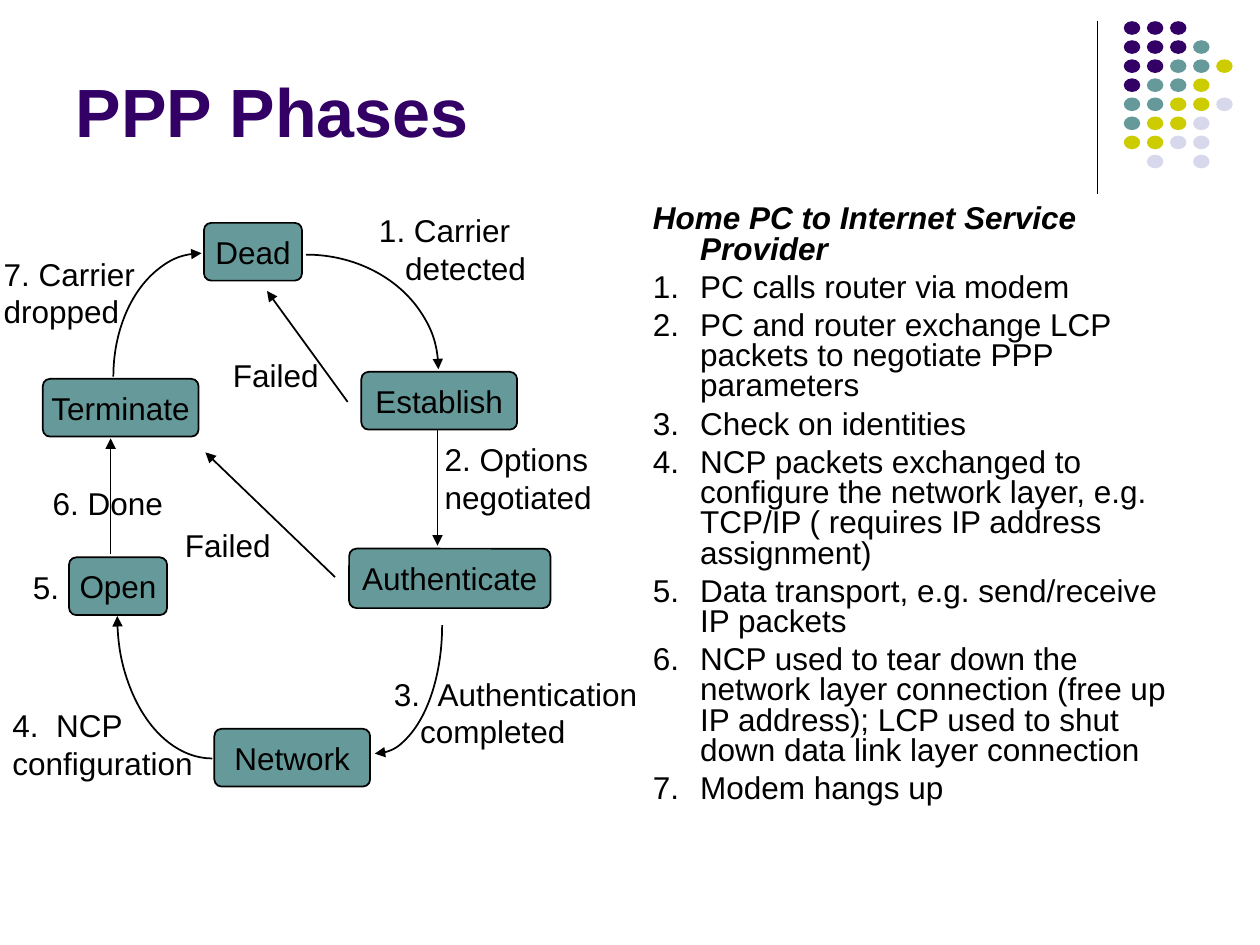
from lxml.etree import SubElement
from pptx import Presentation
from pptx.dml.color import RGBColor
from pptx.enum.shapes import MSO_CONNECTOR, MSO_SHAPE
from pptx.enum.text import MSO_ANCHOR, PP_ALIGN
from pptx.oxml.ns import qn
from pptx.util import Pt

BLACK = RGBColor(0x00, 0x00, 0x00)
PURPLE = RGBColor(0x33, 0x00, 0x66)
TEAL = RGBColor(0x66, 0x99, 0x99)
LIME = RGBColor(0xCC, 0xCC, 0x00)
LILAC = RGBColor(0xD8, 0xD8, 0xEC)

PLAIN = {"name": "Arial", "size": Pt(18), "bold": False, "italic": False}
STRONG = {**PLAIN, "bold": True, "italic": True}
HEAD = {**PLAIN, "size": Pt(39), "bold": True}


def write(para, text, look, color=BLACK, left=0, first=0):
    """Fill one paragraph; left and first are its indents in points."""
    run = para.add_run()
    run.text = text
    for key, value in look.items():
        setattr(run.font, key, value)
    run.font.color.rgb = color
    props = para._p.get_or_add_pPr()
    props.set("marL", str(Pt(left)))
    props.set("indent", str(Pt(first)))


def stroke(shape, width, arrow=False):
    """Draw a black line without shadow, with an arrowhead at its end if asked."""
    shape.line.color.rgb = BLACK
    shape.line.width = Pt(width)
    if arrow:
        SubElement(shape.line._get_or_add_ln(), qn("a:tailEnd"), type="triangle")
    SubElement(shape._element.spPr, qn("a:effectLst"))


deck = Presentation()
deck.slide_width, deck.slide_height = Pt(720), Pt(540)
slide = deck.slides.add_slide(deck.slide_layouts[5])
shapes = slide.shapes

# Title
title = shapes.title
place = {"left": Pt(36), "top": Pt(9), "width": Pt(594), "height": Pt(81)}
for key, value in place.items():
    setattr(title, key, value)
title.text_frame.vertical_anchor = MSO_ANCHOR.BOTTOM
para = title.text_frame.paragraphs[0]
para.alignment = PP_ALIGN.LEFT
write(para, "PPP Phases", HEAD, PURPLE)

# Corner rule and dot grid
rule = shapes.add_connector(MSO_CONNECTOR.STRAIGHT, Pt(627), Pt(12), Pt(627), Pt(111))
stroke(rule, 0.75)
hues = {"P": PURPLE, "T": TEAL, "L": LIME, "V": LILAC}
grid = ["PPP", "PPPT", "PPTTL", "PTTL", "TTLLV", "TLLV", "LLVV", " V V"]
for row, line in enumerate(grid):
    for col, mark in enumerate(line):
        if mark in hues:
            dot = shapes.add_shape(MSO_SHAPE.OVAL, Pt(642.2 + 13.2 * col),
                                   Pt(12.1 + 10.9 * row), Pt(9.4), Pt(7.8))
            dot.fill.solid()
            dot.fill.fore_color.rgb = hues[mark]
            dot.line.fill.background()
            dot.shadow.inherit = False

# Explanation on the right
steps = [
    "Home PC to Internet Service Provider",
    "1.\tPC calls router via modem",
    "2.\tPC and router exchange LCP packets to negotiate PPP parameters",
    "3.\tCheck on identities",
    "4.\tNCP packets exchanged to configure the network layer, e.g. "
    "TCP/IP ( requires IP address assignment)",
    "5.\tData transport, e.g. send/receive IP packets",
    "6.\tNCP used to tear down the network layer connection (free up "
    "IP address); LCP used to shut down data link layer connection",
    "7.\tModem hangs up",
]
frame = shapes.add_textbox(Pt(366), Pt(114), Pt(318), Pt(368)).text_frame
frame.word_wrap = True
for num, step in enumerate(steps):
    para = frame.add_paragraph() if num else frame.paragraphs[0]
    para.line_spacing = 0.8
    para.space_before = Pt(4.5 if num else 0)
    write(para, step, PLAIN if num else STRONG, left=27, first=-27)

# Phases: name, left, top, width, height
phases = [
    ("Dead", 116.6, 127.4, 56, 33),
    ("Terminate", 24.5, 216.5, 89, 33),
    ("Open", 39.5, 318.5, 56, 33),
    ("Network", 122.5, 416.5, 89, 33),
    ("Establish", 206.5, 212.5, 89, 33),
    ("Authenticate", 199.5, 313.5, 115, 34),
]
for name, *spot in phases:
    box = shapes.add_shape(MSO_SHAPE.ROUNDED_RECTANGLE, *map(Pt, spot))
    box.adjustments[0] = 0.125
    box.fill.solid()
    box.fill.fore_color.rgb = TEAL
    stroke(box, 1)
    frame = box.text_frame
    frame.word_wrap = False
    frame.vertical_anchor = MSO_ANCHOR.MIDDLE
    para = frame.paragraphs[0]
    para.alignment = PP_ALIGN.CENTER
    write(para, name, PLAIN)

# Quarter turns: start angle, then left, top, width, height of the full ellipse
turns = [
    (270, 99.5, 145.5, 151, 131),
    (0, 175.7, 283.7, 77, 147),
    (90, 67, 270.7, 108.7, 162.7),
    (180, 64.8, 144.7, 100.8, 141),
]
for angle, *spot in turns:
    arc = shapes.add_shape(MSO_SHAPE.ARC, *map(Pt, spot))
    # Angles are stored as 60000ths of a degree, adjustments as 100000ths
    arc.adjustments[0] = angle * 0.6
    arc.adjustments[1] = (angle + 90) % 360 * 0.6
    arc.fill.background()
    stroke(arc, 1, arrow=True)

# Straight arrows: from x, y to x, y
arrows = [
    (250, 245.5, 250, 311.8),
    (63.2, 316.8, 63.2, 250.5),
    (198.7, 229.7, 152.6, 166.3),
    (191.5, 329.8, 117.4, 258.5),
]
for ends in arrows:
    arrow = shapes.add_connector(MSO_CONNECTOR.STRAIGHT, *map(Pt, ends))
    stroke(arrow, 1, arrow=True)

# Labels: left, top, width, then lines as (text, left indent, first-line indent)
labels = [
    (126, 200, 69, [("Failed", 0, 0)]),
    (98.6, 297, 69, [("Failed", 0, 0)]),
    (209.5, 117, 105, [("1. Carrier", 0, 0), ("detected", 15, 0)]),
    (247, 248, 105, [("2. Options", 0, 0), ("negotiated", 0, 0)]),
    (218, 382, 162, [("3.\tAuthentication", 25, -25), ("completed", 15, 0)]),
    (0, 400, 124, [("4.\tNCP", 25, -25), ("configuration", 0, 0)]),
    (23, 273, 84, [("6. Done", 0, 0)]),
    (-5, 142, 96, [("7. Carrier", 0, 0), ("dropped", 0, 0)]),
    (11.7, 321, 34, [("5.", 0, 0)]),
]
for left, top, width, lines in labels:
    high = 7.2 + 21.6 * len(lines)
    frame = shapes.add_textbox(Pt(left), Pt(top), Pt(width), Pt(high)).text_frame
    frame.word_wrap = True
    for num, (text, inset, first) in enumerate(lines):
        para = frame.add_paragraph() if num else frame.paragraphs[0]
        write(para, text, PLAIN, left=inset, first=first)

deck.save("out.pptx")
